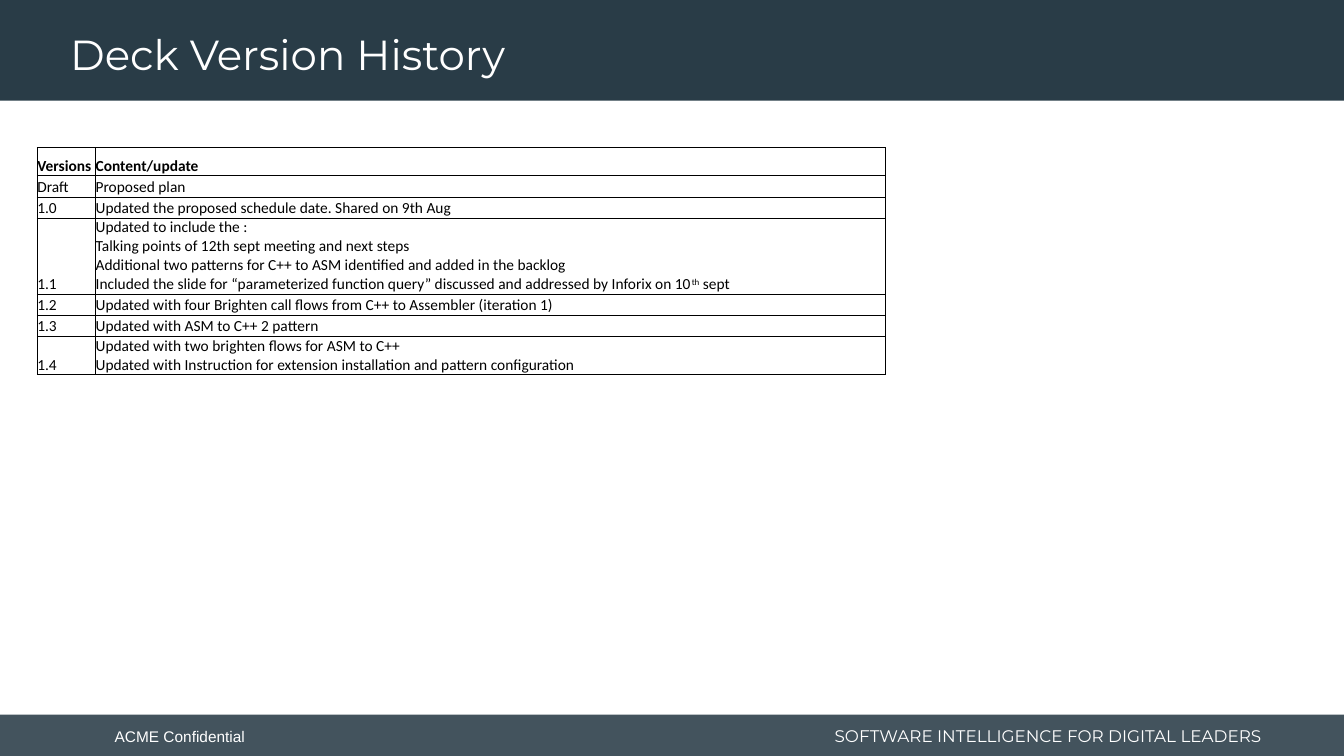
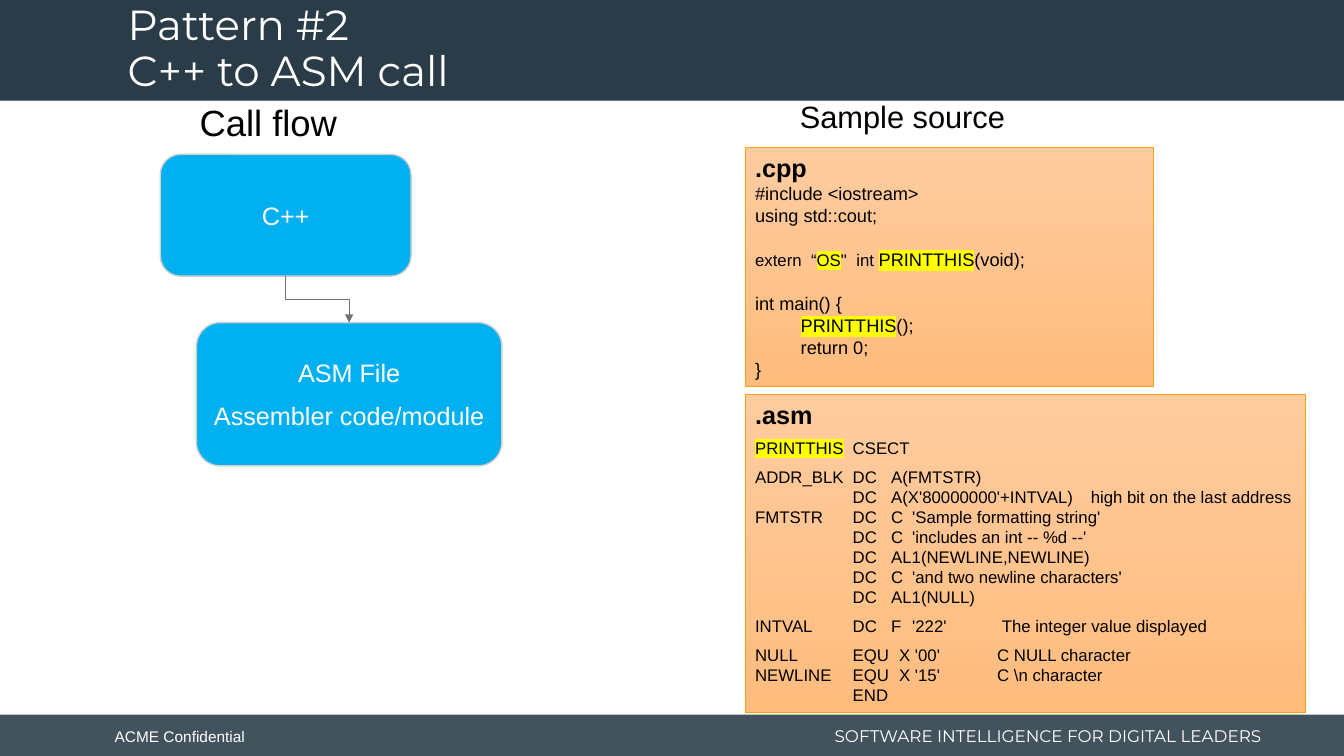
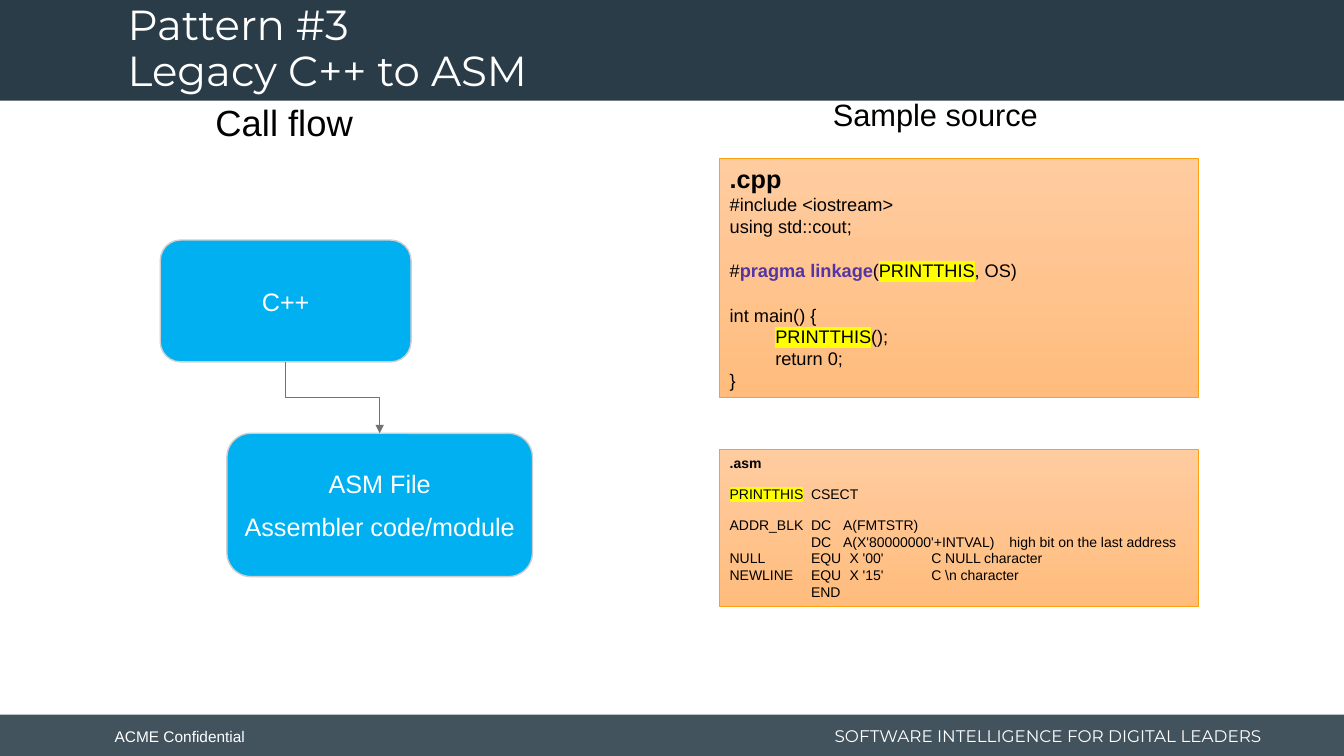
from dataclasses import dataclass

from lxml.etree import SubElement
from pptx import Presentation
from pptx.dml.color import RGBColor as RGB
from pptx.enum.shapes import MSO_CONNECTOR as CXN, MSO_SHAPE as SHP
from pptx.enum.text import MSO_ANCHOR as ANC, MSO_AUTO_SIZE as FIT, PP_ALIGN as AL
from pptx.oxml.ns import qn
from pptx.util import Cm, Pt


@dataclass(frozen=True)
class Theme:
    width: float = 33.87
    height: float = 19.05
    band: str = "293C47"
    white: str = "FFFFFF"
    ink: str = "000000"
    node: str = "00B0F0"
    node_line: str = "D0CECE"
    arrow: str = "767171"
    code_top: str = "FFCCA0"
    code_bottom: str = "FFBC7D"
    code_line: str = "FDA110"
    keyword: str = "5435A4"
    marker: str = "FFFF00"
    body: str = "Arial"
    display: str = "Montserrat"
    grid: str = "Calibri"
    title_size: int = 30
    flow_size: int = 26
    source_size: int = 22
    node_size: int = 18
    tagline_size: int = 12
    small_size: int = 11


T = Theme()


@dataclass(frozen=True)
class Line:
    runs: object
    size: float = 0
    tabs: tuple = ()
    indent: float = 0
    before: float = 0
    bold: bool = False


def assign(obj, fmt):
    for name, value in fmt.items():
        setattr(obj, name, value)


def cms(values):
    return [Cm(v) for v in values]


def add_run(p, text, size, color, font, bold=False, mark=None, raised=False):
    r = p.add_run()
    r.text = text
    assign(r.font, {"size": Pt(size), "name": font, "bold": bold})
    r.font.color.rgb = RGB.from_string(color)
    rPr = r.font._element
    if raised:
        rPr.set("baseline", "30000")
    if mark:
        hl = SubElement(rPr, qn("a:highlight"))
        SubElement(hl, qn("a:srgbClr")).set("val", mark)
        rPr.find(qn("a:solidFill")).addnext(hl)


def write(tf, lines, size, color=T.ink, font=T.body, **para):
    for i, item in enumerate(lines):
        line = item if isinstance(item, Line) else Line(item)
        p = tf.add_paragraph() if i else tf.paragraphs[0]
        assign(p, {"space_before": Pt(line.before), **para})
        pPr = p._p.get_or_add_pPr()
        line_size = line.size or size
        if line.indent:
            pPr.set("marL", str(Cm(line.indent)))
        if line.tabs:
            tabs = SubElement(pPr, qn("a:tabLst"))
            for stop in line.tabs:
                tab = SubElement(tabs, qn("a:tab"))
                tab.set("pos", str(Cm(round(stop * line_size / 12, 2))))
                tab.set("algn", "l")
        runs = [(line.runs, {})] if isinstance(line.runs, str) else line.runs
        for text, fmt in runs:
            base = {"size": line_size, "color": color, "font": font, "bold": line.bold}
            add_run(p, text, **{**base, **fmt})


def add_label(slide, box, lines, size, color=T.ink, font=T.body, anchor=ANC.TOP, **para):
    tf = slide.shapes.add_textbox(*cms(box)).text_frame
    assign(tf, {"word_wrap": True, "auto_size": FIT.NONE, "vertical_anchor": anchor})
    write(tf, lines, size, color, font, **para)


def add_block(slide, kind, box, fill=None, line=None, weight=1):
    sp = slide.shapes.add_shape(kind, *cms(box))
    sp.shadow.inherit = False
    if fill:
        sp.fill.solid()
        sp.fill.fore_color.rgb = RGB.from_string(fill)
    if line:
        sp.line.color.rgb = RGB.from_string(line)
        sp.line.width = Pt(weight)
    else:
        sp.line.fill.background()
    return sp


def add_frame(prs, title, box):
    slide = prs.slides.add_slide(prs.slide_layouts[6])
    footer = add_block(slide, SHP.RECTANGLE, (0, 18.01, T.width, 1.04), T.band)
    clr = footer.fill._xPr.find(qn("a:solidFill"))[0]
    SubElement(clr, qn("a:alpha")).set("val", "88000")
    add_block(slide, SHP.RECTANGLE, (0, 0, T.width, 2.54), T.band)
    add_label(slide, (2.64, 18.21, 6, 0.74), ["ACME Confidential"], T.small_size, T.white)
    add_label(slide, (20.6, 18.16, 11.63, 0.81), ["SOFTWARE INTELLIGENCE FOR DIGITAL LEADERS"],
              T.tagline_size, T.white, T.display, alignment=AL.CENTER)
    add_label(slide, box, title, T.title_size, T.white, T.display, ANC.MIDDLE, line_spacing=0.9)
    return slide


def border_cell(cell):
    tcPr = cell._tc.get_or_add_tcPr()
    for i, side in enumerate(("lnL", "lnR", "lnT", "lnB")):
        ln = tcPr.makeelement(qn(f"a:{side}"), {"w": str(Pt(0.5))})
        fill = SubElement(ln, qn("a:solidFill"))
        SubElement(fill, qn("a:srgbClr")).set("val", T.ink)
        tcPr.insert(i, ln)


def add_history(slide, left, top, widths, rows):
    heights = [0.71] + [max(0.53, 0.48 * len(lines)) for _, lines in rows[1:]]
    box = cms((left, top, sum(widths), sum(heights)))
    tbl = slide.shapes.add_table(len(rows), len(widths), *box).table
    assign(tbl, {"first_row": False, "horz_banding": False})
    for col, width in zip(tbl.columns, widths):
        col.width = Cm(width)
    margins = {f"margin_{side}": 0 for side in ("left", "right", "top", "bottom")}
    for i, (version, lines) in enumerate(rows):
        tbl.rows[i].height = Cm(heights[i])
        for cell, content in zip(tbl.rows[i].cells, ([version], lines)):
            assign(cell, {**margins, "vertical_anchor": ANC.BOTTOM})
            cell.fill.background()
            border_cell(cell)
            content = [Line(c, bold=i == 0) for c in content]
            write(cell.text_frame, content, T.small_size, font=T.grid)


def add_node(slide, box, lines):
    sp = add_block(slide, SHP.ROUNDED_RECTANGLE, box, T.node, T.node_line)
    assign(sp.text_frame, {"word_wrap": True, "vertical_anchor": ANC.MIDDLE})
    write(sp.text_frame, lines, T.node_size, T.white, alignment=AL.CENTER)
    return sp


def add_down_arrow(slide, upper, lower):
    x1, y1 = upper.left + upper.width // 2, upper.top + upper.height
    x2, y2 = lower.left + lower.width // 2, lower.top
    run, drop = x2 - x1, y2 - y1
    left, top = (x1 + x2 - drop) // 2, (y1 + y2 - run) // 2
    c = slide.shapes.add_connector(CXN.ELBOW, left + drop, top, left, top + run)
    c.line.color.rgb = RGB.from_string(T.arrow)
    c.line.width = Pt(0.5)
    spPr = c.element.spPr
    spPr.find(qn("a:xfrm")).set("rot", "16200000")
    SubElement(spPr.find(qn("a:ln")), qn("a:tailEnd")).set("type", "triangle")
    SubElement(spPr, qn("a:effectLst"))


def add_call_flow(slide, left, top, head_dx, caller_dy, callee_dx, callee_dy):
    add_label(slide, (left + head_dx, top, 5, 1.37), ["Call flow"], T.flow_size)
    caller = add_node(slide, (left, top + caller_dy, 6.32, 3.07), ["C++"])
    callee = add_node(slide, (left + callee_dx, top + callee_dy, 7.7, 3.61),
                      ["ASM File", Line("Assembler code/module", before=9)])
    add_down_arrow(slide, caller, callee)


def add_code(slide, box, groups, size, gap):
    sp = add_block(slide, SHP.RECTANGLE, box, line=T.code_line, weight=0.5)
    sp.fill.gradient()
    sp.fill.gradient_angle = 270
    for stop, color in zip(sp.fill.gradient_stops, (T.code_top, T.code_bottom)):
        stop.color.rgb = RGB.from_string(color)
    assign(sp.text_frame, {"word_wrap": True, "vertical_anchor": ANC.TOP})
    lines = []
    for i, group in enumerate(groups):
        for j, item in enumerate(group):
            line = item if isinstance(item, Line) else Line(item)
            before = gap if i and not j else 0
            lines.append(Line(line.runs, line.size, line.tabs, line.indent, before, line.bold))
    write(sp.text_frame, lines, size, alignment=AL.LEFT)


DC_STOPS = (2.46, 3.43, 3.96, 6.22, 8.46)
EQU_STOPS = (2.46, 3.63, 6.1)
MARK = {"mark": T.marker}


def dc(text):
    return Line(text, tabs=DC_STOPS)


def equ(text):
    return Line(text, tabs=EQU_STOPS)


ENTRY = [Line([("PRINTTHIS", MARK), ("\tCSECT", {})], tabs=DC_STOPS)]
ADDRESS = [dc("ADDR_BLK\tDC\tA(FMTSTR)"),
           dc("\tDC\tA(X'80000000'+INTVAL)\thigh bit on the last address")]
STRINGS = [dc("FMTSTR\tDC\tC\t'Sample formatting string'"),
           dc("\tDC\tC\t'includes an int -- %d --'"),
           dc("\tDC\tAL1(NEWLINE,NEWLINE)"),
           dc("\tDC\tC\t'and two newline characters'"),
           dc("\tDC\tAL1(NULL)")]
INTEGER = [dc("INTVAL\tDC\tF\t'222'\tThe integer value displayed")]
CONSTANTS = [equ("NULL\tEQU\tX '00'\tC NULL character"),
             equ("NEWLINE\tEQU\tX '15'\tC \\n character"),
             equ("\tEND")]
EXTERN = Line([("extern\t“", {}), ("OS", MARK), ("\"\tint ", {}),
               ("PRINTTHIS", {**MARK, "size": 13}), ("(void);", {"size": 13})],
              size=12, tabs=(1.41, 2.55))
PRAGMA = Line([("#", {}), ("pragma linkage", {"color": T.keyword, "bold": True}),
               ("(", {}), ("PRINTTHIS", MARK), (", OS)", {})])


def cpp_listing(declaration):
    return [[Line(".cpp", size=18, bold=True), "#include <iostream>", "using std::cout;"],
            [declaration],
            ["int main() {", Line([("PRINTTHIS", MARK), ("();", {})], indent=1.15),
             Line("return 0;", indent=1.15), "}"]]


def asm_listing(size, *groups):
    return [[Line(".asm", size=size, bold=True)], ENTRY, *groups]


def add_pattern(prs, title, flow, heading, cpp_box, declaration, asm_box, asm, asm_size, asm_gap):
    slide = add_frame(prs, title, (2.97, 0.18, 24.33, 2.16))
    add_call_flow(slide, 4.04, 2.41, *flow)
    add_label(slide, (*heading, 6.5, 1.19), ["Sample source"], T.source_size)
    add_code(slide, cpp_box, cpp_listing(declaration), 13, 16)
    add_code(slide, asm_box, asm, asm_size, asm_gap)


HISTORY = [
    ("Versions", ["Content/update"]),
    ("Draft", ["Proposed plan"]),
    ("1.0", ["Updated the proposed schedule date. Shared on 9th Aug"]),
    ("1.1", ["Updated to include the :",
             "Talking points of 12th sept meeting and next steps",
             "Additional two patterns for C++ to ASM identified and added in the backlog",
             [("Included the slide for “parameterized function query” discussed "
               "and addressed by Inforix on 10", {}), ("th", {"raised": True}), (" sept", {})]]),
    ("1.2", ["Updated with four Brighten call flows from C++ to Assembler (iteration 1)"]),
    ("1.3", ["Updated with ASM to C++ 2 pattern"]),
    ("1.4", ["Updated with two brighten flows for ASM to C++",
             "Updated with Instruction for extension installation and pattern configuration"]),
]


def main():
    prs = Presentation()
    assign(prs, {"slide_width": Cm(T.width), "slide_height": Cm(T.height)})
    slide = add_frame(prs, ["Deck Version History"], (1.52, 0.71, 24.33, 1.45))
    add_history(slide, 0.94, 3.72, (1.47, 19.89), HISTORY)
    add_pattern(prs, ["Pattern #2", "C++ to ASM call"], (0.74, 1.48, 0.91, 5.72),
                (19.91, 2.34), (18.78, 3.71, 10.29, 6.02), EXTERN, (18.78, 9.93, 14.12, 8.03),
                asm_listing(18, ADDRESS + STRINGS, INTEGER, CONSTANTS), 12, 6)
    add_pattern(prs, ["Pattern #3", "Legacy C++ to ASM"], (1.14, 3.64, 1.68, 8.51),
                (20.74, 2.29), (18.14, 3.99, 12.06, 6.02), PRAGMA, (18.14, 11.33, 12.06, 3.94),
                asm_listing(10, ADDRESS + CONSTANTS), 10, 10)
    prs.save("out.pptx")


if __name__ == "__main__":
    main()
